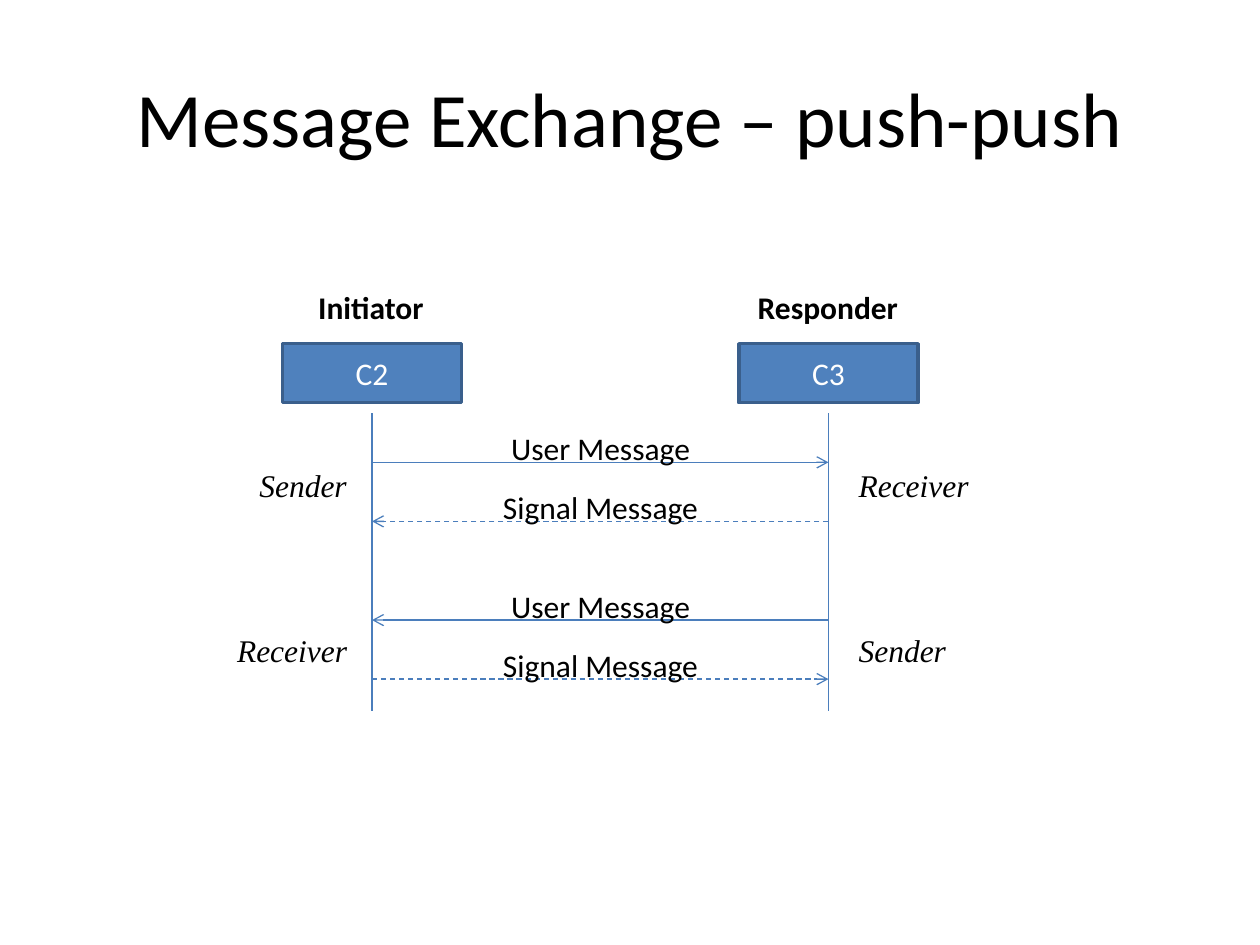
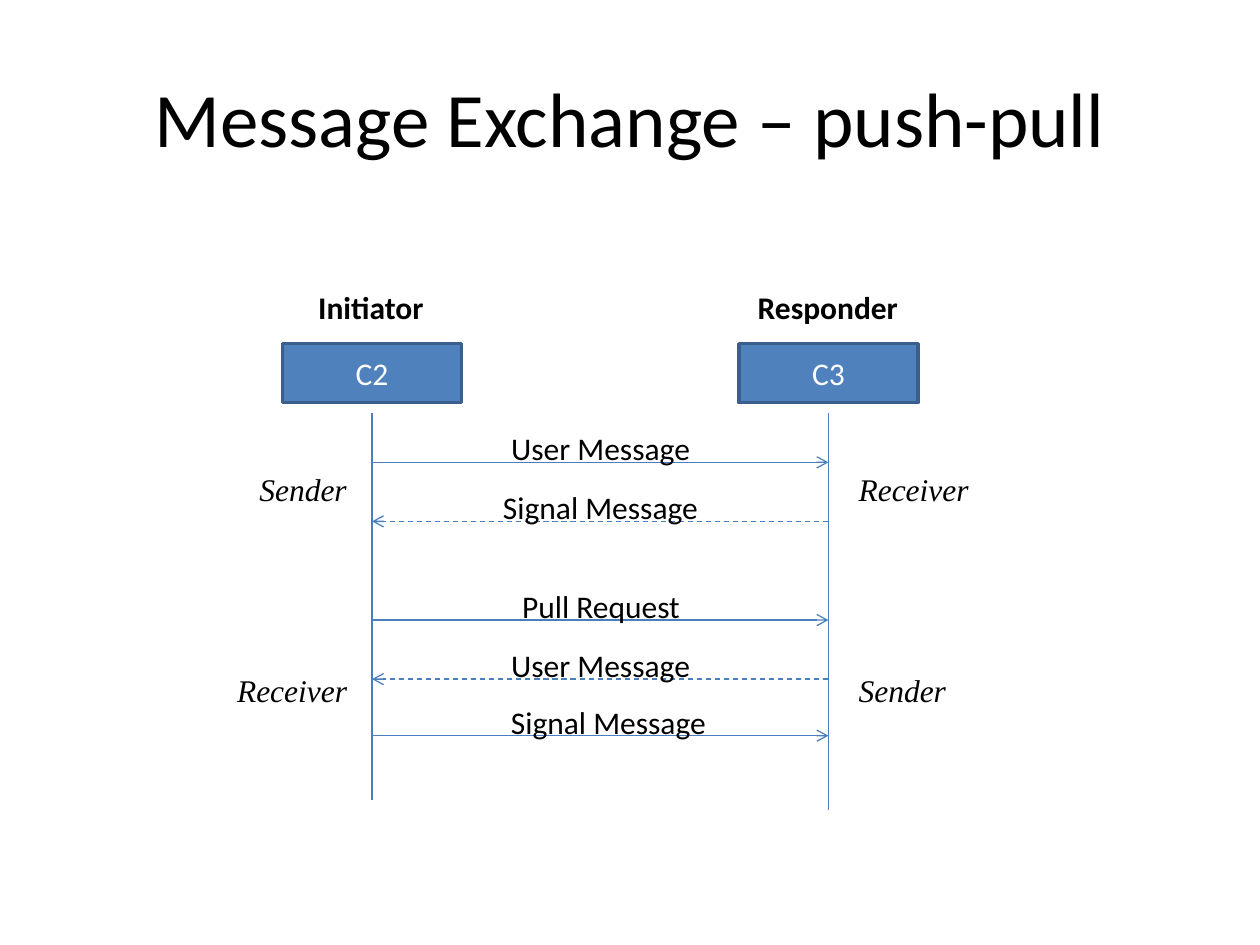
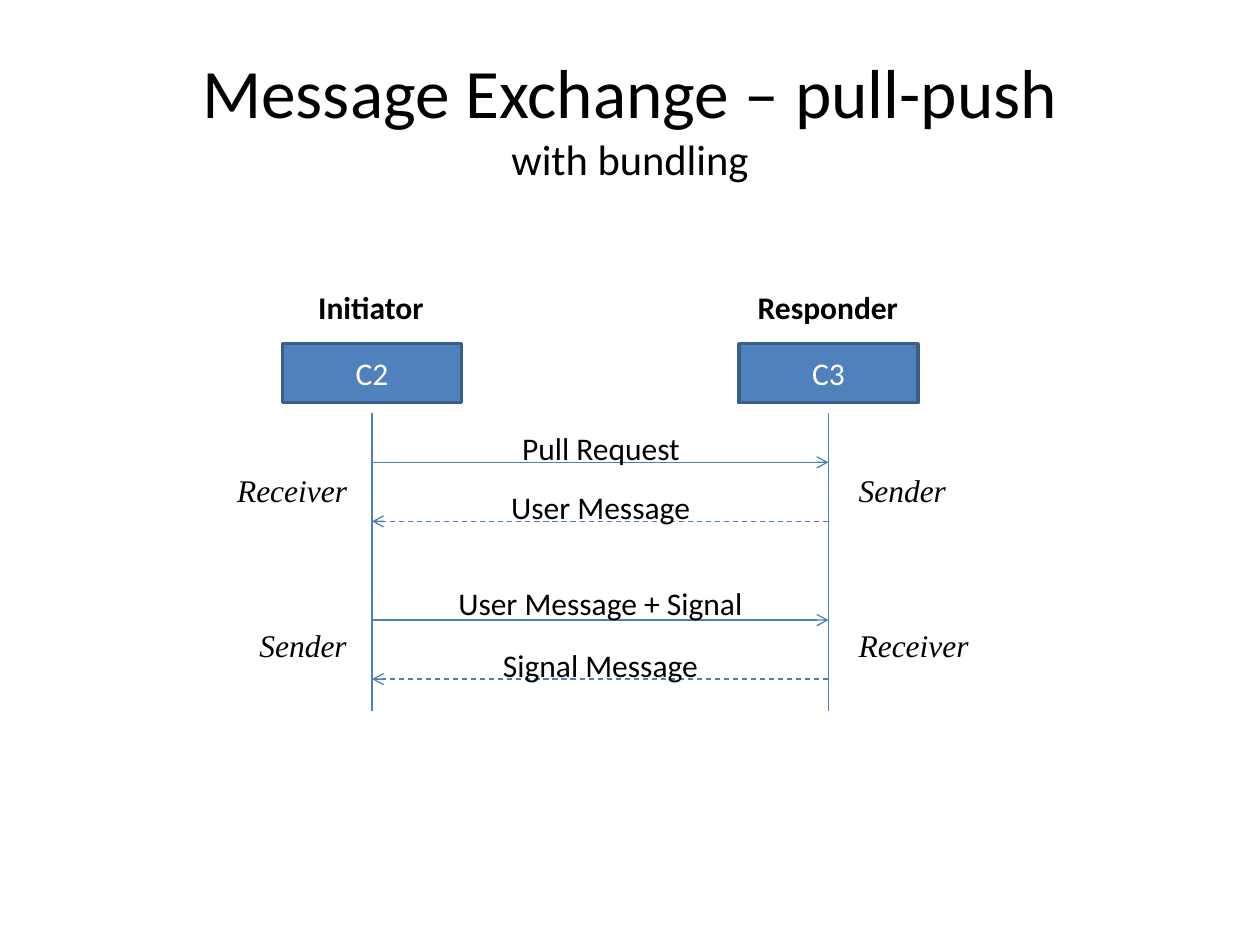
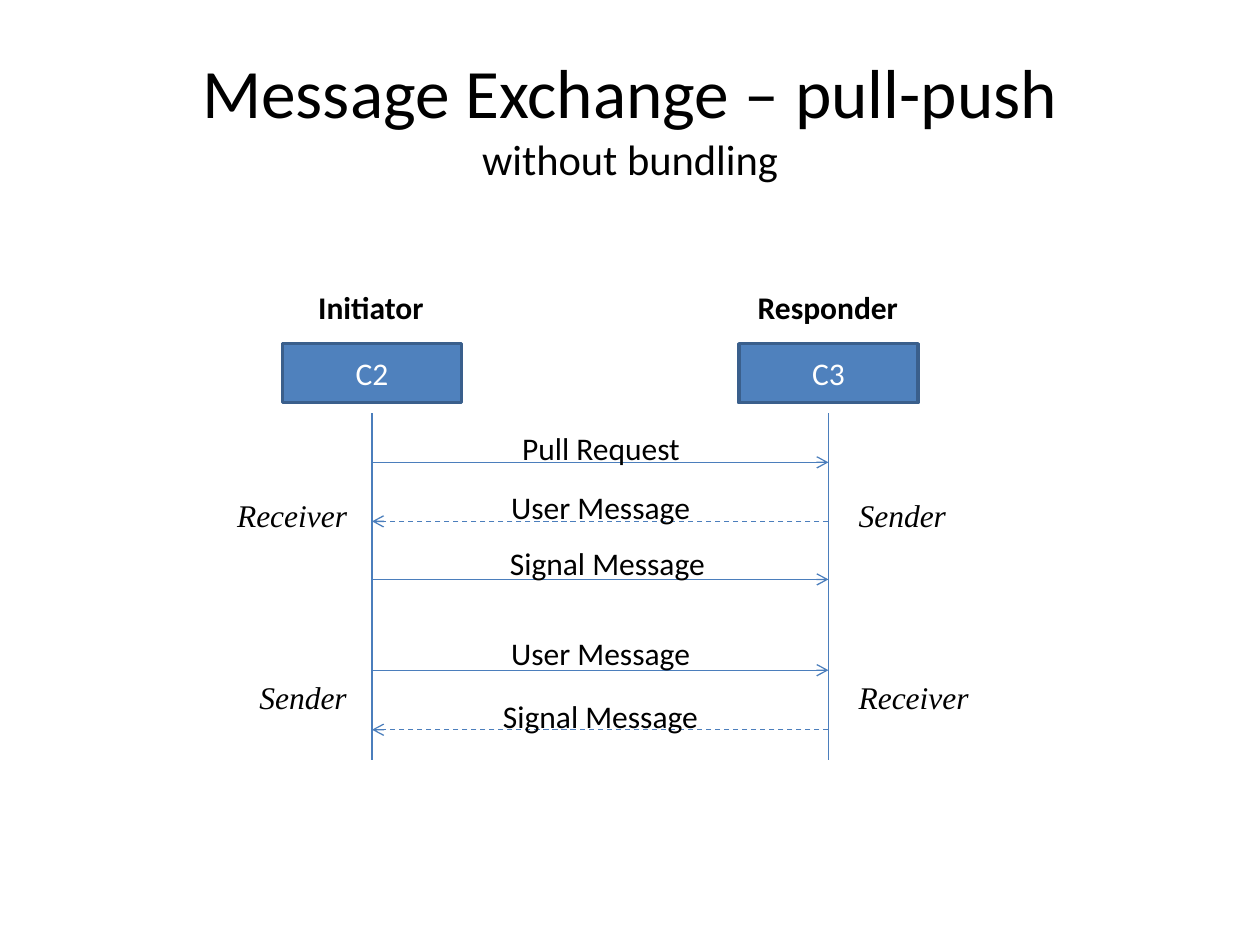
from collections import namedtuple

from lxml.etree import SubElement
from pptx import Presentation
from pptx.dml.color import RGBColor
from pptx.enum.dml import MSO_LINE
from pptx.enum.shapes import MSO_CONNECTOR, MSO_SHAPE
from pptx.enum.text import MSO_ANCHOR, MSO_AUTO_SIZE, PP_ALIGN
from pptx.oxml.ns import qn
from pptx.util import Cm, Pt

COLORS = {"text": "000000", "actor": "4F81BD", "border": "3A5F8C",
          "line": "4B7EBC", "inverse": "FFFFFF"}
BODY_FONT = "Calibri"
ROLE_FONT = "Times New Roman"
LABEL_HEIGHT = 1.02
LABEL_WIDTHS = {"User Message": 4.17, "Signal Message": 4.5, "Pull Request": 3.73,
                "User Message + Signal": 6.3, "Initiator": 2.67, "Responder": 3.35,
                "Sender": 2.32, "Receiver": 2.77}

Box = namedtuple("Box", "left top width height")
Message = namedtuple("Message", "text y target dashed lift shift",
                     defaults=(False, 0.79, 0))
Exchange = namedtuple("Exchange", "pattern subtitle lifelines messages roles")

TITLE_BOX = Box(1.27, 0.76, 22.86, 3.18)
ACTOR_LABEL_TOP = 5.69
ACTOR_TOP, ACTOR_WIDTH, ACTOR_HEIGHT = 6.93, 3.61, 1.19
LIFELINES_BOX = Box(7.5, 8.33, 9.2, 6)

EXCHANGES = [
    Exchange("push-push", None, (6, 6), [
        Message("User Message", 0.99, "C3"),
        Message("Signal Message", 2.18, "C2", True),
        Message("User Message", 4.17, "C2"),
        Message("Signal Message", 5.36, "C3", True),
    ], [("Sender", "Receiver", 0.94), ("Receiver", "Sender", 4.27)]),
    Exchange("push-pull", None, (7.8, 8), [
        Message("User Message", 0.99, "C3"),
        Message("Signal Message", 2.18, "C2", True),
        Message("Pull Request", 4.17, "C3"),
        Message("User Message", 5.36, "C2", True),
        Message("Signal Message", 6.5, "C3", shift=0.16),
    ], [("Sender", "Receiver", 1.02), ("Receiver", "Sender", 5.08)]),
    Exchange("pull-push", "with bundling", (6, 6), [
        Message("Pull Request", 0.99, "C3"),
        Message("User Message", 2.18, "C2", True),
        Message("User Message + Signal", 4.17, "C3", lift=0.86),
        Message("Signal Message", 5.36, "C2", True),
    ], [("Receiver", "Sender", 1.04), ("Sender", "Receiver", 4.17)]),
    Exchange("pull-push", "without bundling", (7, 7), [
        Message("Pull Request", 0.99, "C3"),
        Message("User Message", 2.18, "C2", True),
        Message("Signal Message", 3.35, "C3", lift=0.84, shift=0.14),
        Message("User Message", 5.18, "C3", lift=0.86),
        Message("Signal Message", 6.38, "C2", True),
    ], [("Receiver", "Sender", 1.55), ("Sender", "Receiver", 5.21)]),
]


def rgb(name):
    """Return a palette colour."""
    return RGBColor.from_string(COLORS[name])


def add_run(paragraph, text, size=18, font=BODY_FONT, color="text", bold=False, italic=False):
    """Append one styled run to a paragraph."""
    run = paragraph.add_run()
    run.text = text
    run.font.size = Pt(size)
    run.font.name = font
    run.font.color.rgb = rgb(color)
    run.font.bold = bold
    run.font.italic = italic


def add_label(slide, left, top, text, **style):
    """Place a one-line label that fits its text."""
    label = slide.shapes.add_textbox(
        Cm(left), Cm(top), Cm(LABEL_WIDTHS[text]), Cm(LABEL_HEIGHT))
    label.text_frame.word_wrap = False
    label.text_frame.auto_size = MSO_AUTO_SIZE.SHAPE_TO_FIT_TEXT
    add_run(label.text_frame.paragraphs[0], text, **style)


def add_centered_label(slide, center, top, text, **style):
    """Place a label around a horizontal centre."""
    add_label(slide, center - LABEL_WIDTHS[text] / 2, top, text, **style)


def add_line(slide, x1, y1, x2, y2, dashed=False, arrow=False):
    """Draw a thin line, optionally dashed or with an arrow at its end."""
    line = slide.shapes.add_connector(
        MSO_CONNECTOR.STRAIGHT, Cm(x1), Cm(y1), Cm(x2), Cm(y2))
    line.line.color.rgb = rgb("line")
    line.line.width = Pt(0.75)
    if dashed:
        line.line.dash_style = MSO_LINE.DASH
    properties = line._element.spPr
    if arrow:
        SubElement(properties.find(qn("a:ln")), qn("a:tailEnd"), type="arrow")
    SubElement(properties, qn("a:effectLst"))


def add_title(slide, box, pattern, subtitle):
    """Write the heading, with a smaller second line when there is a subtitle."""
    title = slide.shapes.add_textbox(*(Cm(length) for length in box))
    frame = title.text_frame
    frame.word_wrap = True
    frame.vertical_anchor = MSO_ANCHOR.MIDDLE
    heading = frame.paragraphs[0]
    heading.alignment = PP_ALIGN.CENTER
    add_run(heading, f"Message Exchange – {pattern}", 39.6 if subtitle else 44)
    if subtitle:
        heading.add_line_break()
        add_run(heading, subtitle, 24.3)


def add_actor(slide, center, name, part):
    """Draw an actor's box and the part it plays above its lifeline."""
    actor = slide.shapes.add_shape(
        MSO_SHAPE.RECTANGLE, Cm(center - ACTOR_WIDTH / 2), Cm(ACTOR_TOP),
        Cm(ACTOR_WIDTH), Cm(ACTOR_HEIGHT))
    actor.shadow.inherit = False
    actor.fill.solid()
    actor.fill.fore_color.rgb = rgb("actor")
    actor.line.color.rgb = rgb("border")
    actor.line.width = Pt(2)
    actor.text_frame.vertical_anchor = MSO_ANCHOR.MIDDLE
    name_line = actor.text_frame.paragraphs[0]
    name_line.alignment = PP_ALIGN.CENTER
    add_run(name_line, name, color="inverse")
    add_centered_label(slide, center, ACTOR_LABEL_TOP, part, bold=True)


def add_message(slide, box, message):
    """Draw a message arrow between the lifelines with its label."""
    y = box.top + message.y
    start, end = box.left, box.left + box.width
    if message.target == "C2":
        start, end = end, start
    add_line(slide, start, y, end, y, message.dashed, arrow=True)
    center = box.left + box.width / 2 + 0.04 + message.shift
    add_centered_label(slide, center, y - message.lift, message.text)


def add_roles(slide, box, initiator_role, responder_role, y):
    """Name the roles on the outer sides of both lifelines."""
    style = {"font": ROLE_FONT, "italic": True}
    add_label(slide, box.left - 0.2 - LABEL_WIDTHS[initiator_role], box.top + y,
              initiator_role, **style)
    add_label(slide, box.left + box.width + 0.36, box.top + y, responder_role, **style)


def add_sequence(slide, box, exchange):
    """Build the sequence diagram of one message exchange."""
    actors = [("C2", "Initiator"), ("C3", "Responder")]
    centers = (box.left, box.left + box.width)
    for center, (name, part), length in zip(centers, actors, exchange.lifelines):
        add_actor(slide, center, name, part)
        add_line(slide, center, box.top, center, box.top + length)
    for message in exchange.messages:
        add_message(slide, box, message)
    for initiator_role, responder_role, y in exchange.roles:
        add_roles(slide, box, initiator_role, responder_role, y)


def main():
    """Build and save the presentation."""
    deck = Presentation()
    deck.slide_width, deck.slide_height = Cm(25.4), Cm(19.05)
    for exchange in EXCHANGES:
        slide = deck.slides.add_slide(deck.slide_layouts[6])
        add_title(slide, TITLE_BOX, exchange.pattern, exchange.subtitle)
        add_sequence(slide, LIFELINES_BOX, exchange)
    deck.save("out.pptx")


if __name__ == "__main__":
    main()
